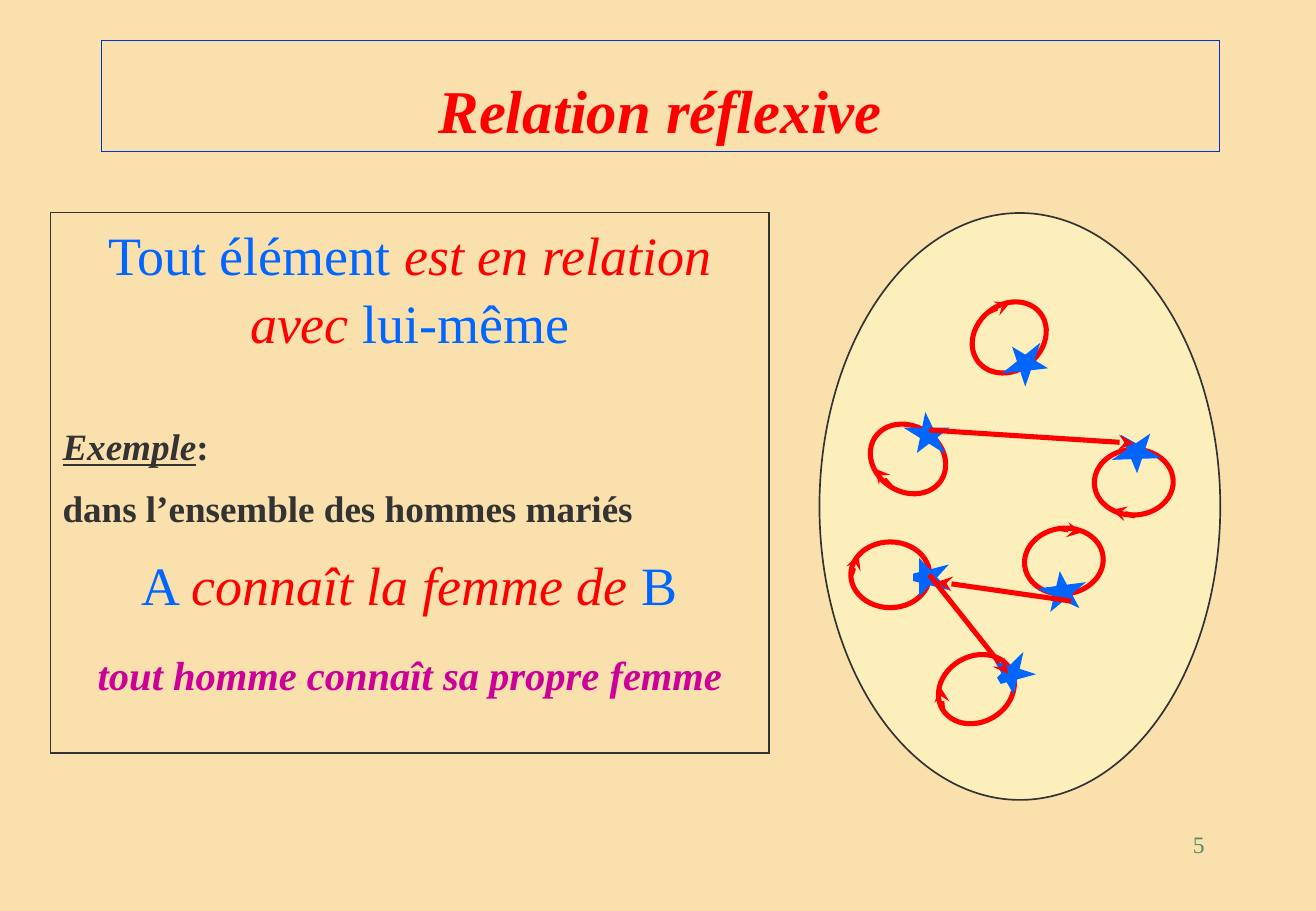
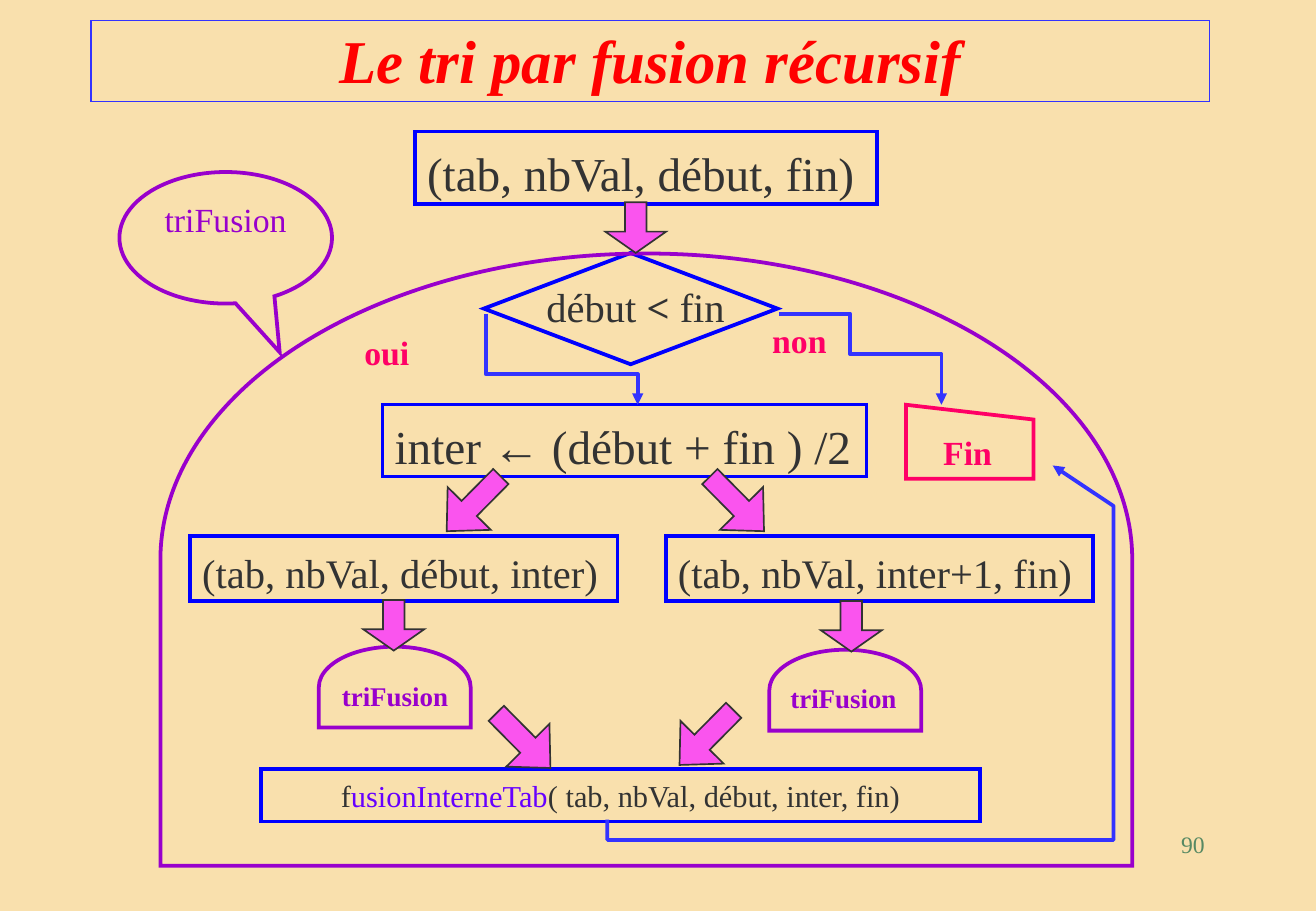
from lxml.etree import SubElement
from pptx import Presentation
from pptx.dml.color import RGBColor
from pptx.enum.shapes import MSO_CONNECTOR, MSO_SHAPE
from pptx.enum.text import MSO_ANCHOR, PP_ALIGN
from pptx.oxml.ns import qn
from pptx.util import Inches, Pt

C = {
    "sand": "F9E0AD", "cream": "FFFFCC", "rose": "FFCCCC", "ink": "333333",
    "red": "FF0000", "sky": "0066FF", "magenta": "CC0099", "green": "578963",
    "navy": "0033CC", "blue": "3333FF", "pure": "0000FF", "purple": "9900CC",
    "violet": "6600FF", "pink": "FF0066", "orchid": "FA54EE",
}
FONT = "Times New Roman"
COLS = 130

prs = Presentation()
prs.slide_width, prs.slide_height = Inches(10.83), Inches(7.5)
U = prs.slide_width / COLS


def add(s, kind, x, y, w, h, line=None, width=1, fill=None, alpha=None, rot=0, adj=()):
    box = [round(v * U) for v in (x, y, w, h)]
    if kind is None:
        return s.shapes.add_textbox(*box)
    sp = s.shapes.add_shape(kind, *box)
    sp.shadow.inherit = False
    sp.rotation = rot
    for i, value in enumerate(adj):
        sp.adjustments[i] = value
    if fill:
        sp.fill.solid()
        sp.fill.fore_color.rgb = RGBColor.from_string(C[fill])
        if alpha:
            clr = sp._element.spPr.find(qn("a:solidFill"))[0]
            SubElement(clr, qn("a:alpha"), val=str(alpha * 1000))
    else:
        sp.fill.background()
    sp.line.color.rgb = RGBColor.from_string(C[line])
    sp.line.width = Pt(width)
    SubElement(sp._element.spPr.find(qn("a:ln")), qn("a:miter"), lim="800000")
    return sp


def write(sp, text, size=20, color="ink", bold=False, italic=False, underline=False,
          align=PP_ALIGN.LEFT, anchor=MSO_ANCHOR.TOP, wrap=True, spacing=1.05, before=0):
    tf = sp.text_frame
    tf.word_wrap = wrap
    tf.vertical_anchor = anchor
    p = tf.add_paragraph() if tf.text else tf.paragraphs[0]
    p.alignment, p.line_spacing, p.space_before = align, spacing, Pt(before)
    base = dict(color=color, bold=bold, italic=italic, underline=underline)
    for part, change in [(text, {})] if isinstance(text, str) else text:
        fmt = {**base, **change}
        r = p.add_run()
        r.text = part
        f = r.font
        f.name, f.size = FONT, Pt(size)
        f.bold, f.italic, f.underline = fmt["bold"], fmt["italic"], fmt["underline"]
        f.color.rgb = RGBColor.from_string(C[fmt["color"]])


slides = []
for title, number, box, line in [
    ("Relation réflexive", "5", (10, 4, 110.5, 11), "navy"),
    ("Le tri par fusion récursif", "90", (9, 2, 110.5, 8), "blue"),
]:
    s = prs.slides.add_slide(prs.slide_layouts[6])
    s.background.fill.solid()
    s.background.fill.fore_color.rgb = RGBColor.from_string(C["sand"])
    sp = add(s, None, 93.1, 82, 27.1, 6)
    sp.text_frame.margin_top = 0
    write(sp, number, size=14, color="green", align=PP_ALIGN.RIGHT, spacing=1.0)
    sp = add(s, MSO_SHAPE.RECTANGLE, *box, line=line, width=0.75)
    write(sp, title, size=36, color="red", bold=True, italic=True, spacing=1.0,
          align=PP_ALIGN.CENTER, anchor=MSO_ANCHOR.BOTTOM)
    slides.append(s)
relation, tri = slides
arrows = []

add(relation, MSO_SHAPE.OVAL, 71.75, 30.25, 58, 39.6, line="ink",
    fill="cream", alpha=50, rot=270)

wide, tall = ((7.8, 6.5), (2.3, 1.9)), ((6.5, 7.8), (1.9, 2.3))
for (loop_size, star_size), rot, loop, star in [
    (tall, 270, (84.7, 52.9), (90.5, 55.9)),
    (wide, 352.6, (101.2, 52.2), (103.8, 57.5)),
    (wide, 212.1, (85.8, 42.1), (90.5, 42.1)),
    (wide, 177.8, (108.1, 44.4), (111.1, 43.8)),
    (tall, 240.2, (93.2, 64.2), (98.8, 65.5)),
    (wide, 321.4, (95.8, 30.1), (100.1, 34.9)),
]:
    add(relation, MSO_SHAPE.OVAL, *loop, *loop_size, line="red", width=3, rot=rot)
    add(relation, MSO_SHAPE.STAR_5_POINT, *star, *star_size, line="sky", width=4.5,
        fill="rose", rot=rot)

for ends in [
    (84.1, 56.8, 84.8, 54.8), (104.5, 52.2, 106.9, 52.6), (88, 48.1, 86.4, 46.3),
    (112.1, 51, 109.8, 50.4), (93.1, 70, 92.9, 67.9), (97.7, 30.8, 99.8, 29.9),
    (91.8, 56.8, 99.6, 66.6), (91.8, 42.5, 112, 43.8), (105.8, 59.4, 92.6, 57.5),
]:
    cx = relation.shapes.add_connector(MSO_CONNECTOR.STRAIGHT, *[round(v * U) for v in ends])
    arrows.append((cx, "red", 3, "stealth"))

sp = add(relation, MSO_SHAPE.RECTANGLE, 5, 21, 71, 53.4, line="ink")
verb = dict(color="red", italic=True)
write(sp, [("Tout élément ", {}), ("est en relation avec ", verb), ("lui-même", {})],
      size=32, color="sky", align=PP_ALIGN.CENTER)
write(sp, [("Exemple", dict(italic=True, underline=True)), (":", {})],
      size=22, bold=True, spacing=1.0, before=41)
write(sp, "dans l’ensemble des hommes mariés", size=22, bold=True, spacing=1.0, before=10)
write(sp, [("A ", {}), ("connaît la femme de", verb), (" B", {})],
      size=32, color="sky", align=PP_ALIGN.CENTER, spacing=1.0, before=13)
write(sp, "tout homme connaît sa propre femme", size=24, color="magenta", bold=True,
      italic=True, align=PP_ALIGN.CENTER, spacing=1.0, before=20)

for text, size, width, wrap, box in [
    ("(tab, nbVal, début, fin)", 28, 2.25, True, (41, 13, 45.6, 7.2)),
    ("(tab, nbVal, inter+1, fin)", 24, 2.25, True, (65.8, 53, 42.2, 6.4)),
    ("(tab, nbVal, début, inter)", 24, 2.25, True, (18.8, 53, 42.2, 6.4)),
    ("inter ← (début + fin ) /2", 28, 1.5, False, (37.8, 40, 47.8, 7.1)),
]:
    sp = add(tri, MSO_SHAPE.RECTANGLE, *box, line="pure", width=width)
    write(sp, text, size=size, wrap=wrap, spacing=1.12)

sp = add(tri, MSO_SHAPE.RECTANGLE, 25.8, 76, 71, 5.2, line="pure", width=2.25)
write(sp, [("f", {}), ("usionInterneTab", dict(color="violet")),
           ("( tab, nbVal, début, inter, fin)", {})], size=18, align=PP_ALIGN.CENTER)

for kind, box, line, rot in [
    (MSO_SHAPE.FLOWCHART_DELAY, (35, 60.4, 8, 15), "purple", 270),
    (MSO_SHAPE.FLOWCHART_DELAY, (79.5, 60.7, 8, 15), "purple", 270),
    (MSO_SHAPE.FLOWCHART_DECISION, (47.8, 25, 29, 11), "pure", 0),
    (MSO_SHAPE.FLOWCHART_DELAY, (33.6, 7.3, 60.5, 96), "purple", 270),
    (MSO_SHAPE.FLOWCHART_MANUAL_INPUT, (89.5, 40, 12.6, 7.3), "pink", 0),
]:
    sp = add(tri, kind, *box, line=line, width=2.25, rot=rot)
    if kind == MSO_SHAPE.FLOWCHART_MANUAL_INPUT:
        sp._element.spPr.find(qn("a:xfrm")).set("flipH", "1")

sp = add(tri, MSO_SHAPE.OVAL_CALLOUT, 11.8, 17, 21, 13, line="purple", width=2.25,
         adj=(0.254, 0.87))
write(sp, "triFusion", color="purple", align=PP_ALIGN.CENTER)

for x, y, rot in [
    (59.8, 20, 0), (35.9, 59.3, 0), (81.1, 59.4, 0),
    (69.8, 46, 315.3), (43.8, 46, 44.7), (48.7, 69.4, 315.3), (66.8, 69.1, 44.7),
]:
    h, head = (7.6, 0.526) if rot else (5, 0.42)
    add(tri, MSO_SHAPE.DOWN_ARROW, x, y, 6, h, line="ink", fill="orchid", rot=rot,
        adj=(0.354, head))

for text, size, color, box in [
    ("triFusion", 16, "purple", (32.6, 66.4, 14, 4.4)),
    ("triFusion", 16, "purple", (76.9, 66.6, 14, 4.4)),
    ("oui", 20, "pink", (34.8, 32, 8, 5.2)),
    ("non", 20, "pink", (75.1, 30.8, 8, 5.2)),
    ("Fin", 20, "pink", (92, 41.9, 7.8, 5.2)),
]:
    write(add(tri, None, *box), text, size=size, color=color, bold=True)
sp = add(tri, None, 52.8, 27, 20, 6)
write(sp, [("début ", {}), ("< ", dict(bold=True)), ("fin", {})], size=24, wrap=False)

for start, *points in [
    [(47.8, 31), (47.8, 37), (62.8, 37), (62.8, 40)],
    [(76.9, 30.6), (84.2, 30.6), (84.2, 34.8), (93.2, 34.8), (93.2, 39.6)],
    [(60.2, 81), (60.2, 82.8), (109.7, 82.8), (109.7, 50.5), (104.2, 45.7)],
]:
    fb = tri.shapes.build_freeform(*start, scale=U)
    fb.add_line_segments(points, close=False)
    sp = fb.convert_to_shape()
    sp.fill.background()
    arrows.append((sp, "blue", 2.25, "triangle"))

for sp, color, width, head in arrows:
    sp.line.color.rgb = RGBColor.from_string(C[color])
    sp.line.width = Pt(width)
    spPr = sp._element.spPr
    SubElement(spPr.find(qn("a:ln")), qn("a:tailEnd"), type=head)
    SubElement(spPr, qn("a:effectLst"))

prs.save("out.pptx")
